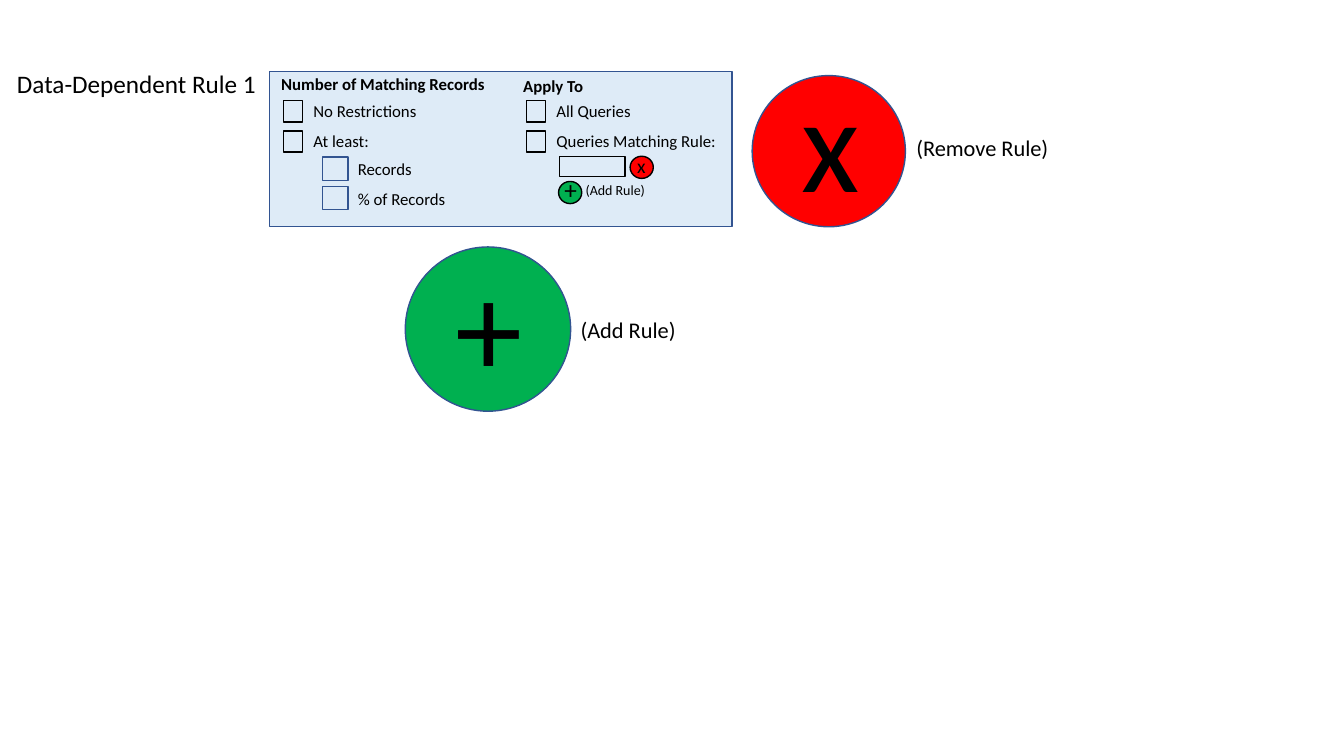
from pptx import Presentation
from pptx.dml.color import RGBColor
from pptx.enum.shapes import MSO_SHAPE
from pptx.util import Inches, Pt

BLACK = RGBColor(0x00, 0x00, 0x00)
NAVY = RGBColor(0x32, 0x54, 0x91)
PALE_BLUE = RGBColor(0xDE, 0xEB, 0xF7)
RED = RGBColor(0xFF, 0x00, 0x00)
GREEN = RGBColor(0x00, 0xB0, 0x50)


class RuleSlide:
    font_name = "Calibri"

    def __init__(self, slide):
        self.slide = slide

    def shape(self, kind, left, top, width, height, line, fill=None):
        outline = self.slide.shapes.add_shape(
            kind, Inches(left), Inches(top), Inches(width), Inches(height))
        outline.shadow.inherit = False
        if fill is None:
            outline.fill.background()
        else:
            outline.fill.solid()
            outline.fill.fore_color.rgb = fill
        outline.line.color.rgb = line
        outline.line.width = Pt(1)

    def box(self, left, top, width, height, line, fill=None):
        self.shape(MSO_SHAPE.RECTANGLE, left, top, width, height, line, fill)

    def circle(self, left, top, width, height, line, fill):
        self.shape(MSO_SHAPE.OVAL, left, top, width, height, line, fill)

    def text(self, wording, left, top, width, height, size, bold=False):
        frame = self.slide.shapes.add_textbox(
            Inches(left), Inches(top), Inches(width), Inches(height)).text_frame
        frame.word_wrap = True
        paragraph = frame.paragraphs[0]
        paragraph.text = wording
        font = paragraph.font
        font.name = self.font_name
        font.size = Pt(size)
        font.bold = bold
        font.color.rgb = BLACK

    def heading(self, wording, left, top):
        self.text(wording, left, top, 2.29, 0.3, 12, bold=True)

    def checkbox(self, wording, left, top):
        self.box(left, top, 0.19, 0.21, BLACK)
        self.text(wording, left + 0.2, top - 0.05, 1.85, 0.3, 12)

    def entry(self, wording, left, top):
        self.box(left, top, 0.25, 0.23, NAVY)
        self.text(wording, left + 0.25, top - 0.03, 1.25, 0.3, 12)


presentation = Presentation()
presentation.slide_width = Inches(13.33)
presentation.slide_height = Inches(7.5)
blank_layout = presentation.slide_layouts[6]
rule = RuleSlide(presentation.slides.add_slide(blank_layout))

rule.box(2.67, 0.71, 4.59, 1.54, NAVY, PALE_BLUE)
rule.text("Data-Dependent Rule 1", 0.07, 0.63, 3.05, 0.4, 18)

rule.circle(7.46, 0.75, 1.52, 1.5, NAVY, RED)
rule.text("x", 7.85, 0.53, 1.14, 1.72, 96)
rule.text("(Remove Rule)", 8.99, 1.28, 1.64, 0.37, 16)

rule.circle(4.02, 2.45, 1.64, 1.63, NAVY, GREEN)
rule.text("+", 4.42, 2.36, 1.14, 1.72, 96)
rule.text("(Add Rule)", 5.66, 3.09, 1.64, 0.37, 16)

columns = [
    ("Number of Matching Records", 2.69, 0.68, 2.81, ["No Restrictions", "At least:"]),
    ("Apply To", 5.09, 0.7, 5.22, ["All Queries", "Queries Matching Rule:"]),
]
for title, title_left, title_top, option_left, options in columns:
    rule.heading(title, title_left, title_top)
    for row, option in enumerate(options):
        rule.checkbox(option, option_left, 1 + 0.3 * row)

for row, threshold in enumerate(["Records", "% of Records"]):
    rule.entry(threshold, 3.2, 1.56 + 0.29 * row)

rule.box(5.55, 1.55, 0.65, 0.2, BLACK)
rule.circle(6.25, 1.55, 0.23, 0.22, BLACK, RED)
rule.text("x", 6.22, 1.48, 0.23, 0.34, 14)
rule.circle(5.54, 1.8, 0.23, 0.22, BLACK, GREEN)
rule.text("+", 5.5, 1.68, 0.23, 0.4, 18)
rule.text("(Add Rule)", 5.71, 1.75, 1.06, 0.27, 10)

presentation.save("out.pptx")
